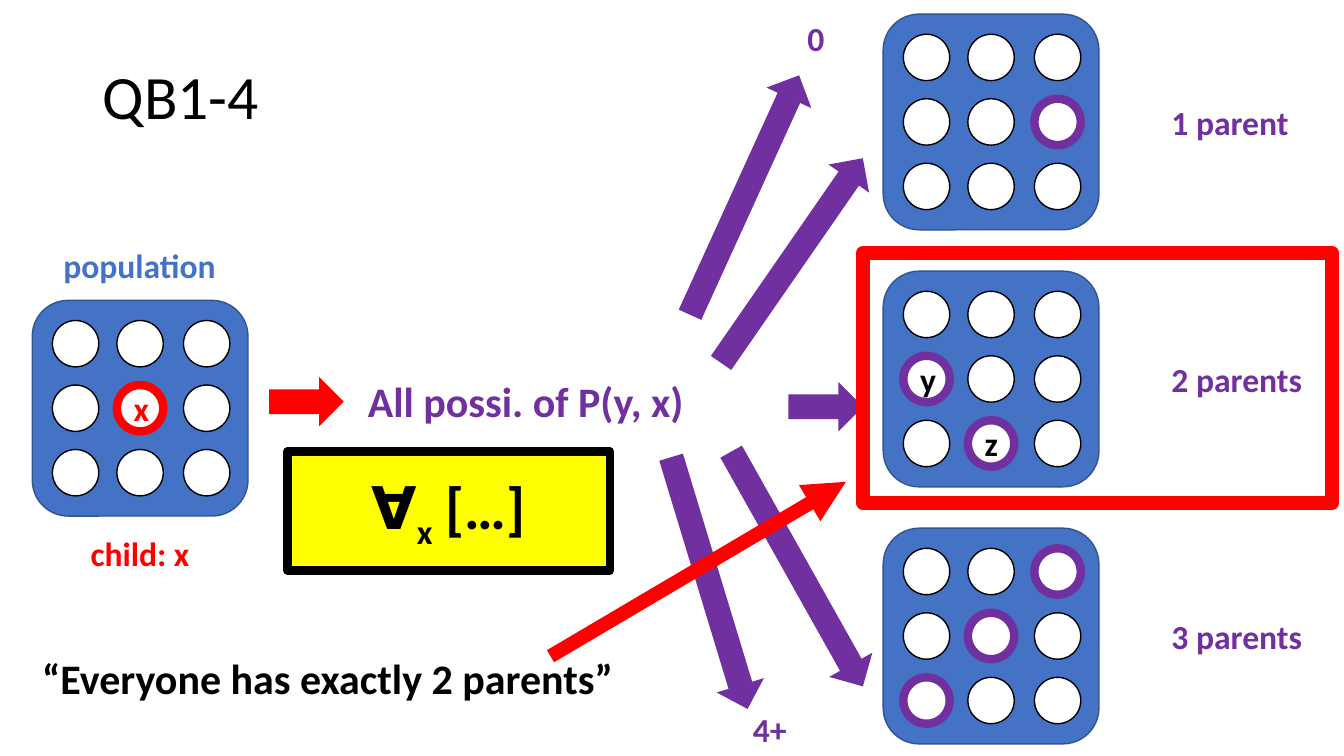
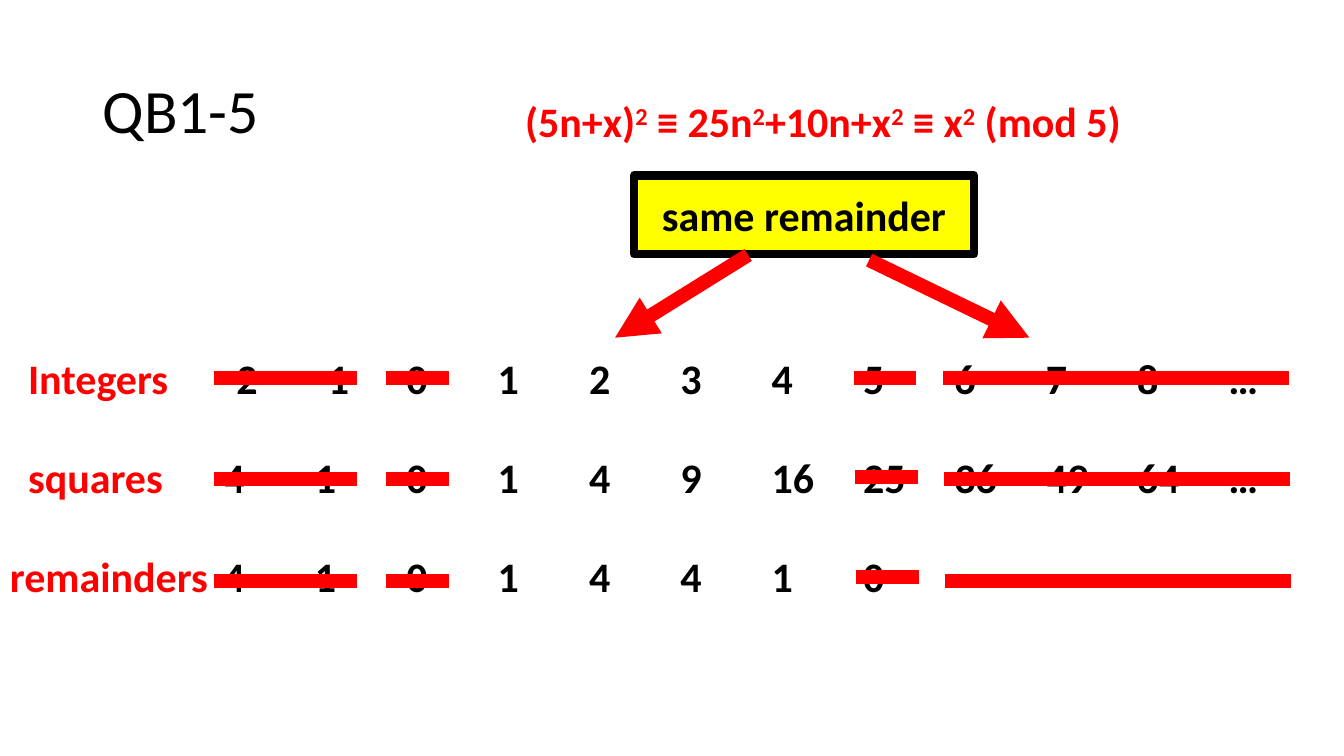
from lxml import etree
from pptx import Presentation
from pptx.dml.color import RGBColor
from pptx.enum.shapes import MSO_CONNECTOR, MSO_SHAPE
from pptx.enum.text import MSO_ANCHOR, PP_ALIGN
from pptx.oxml.ns import qn
from pptx.util import Inches, Pt

RECT, ROUND_RECT = MSO_SHAPE.RECTANGLE, MSO_SHAPE.ROUNDED_RECTANGLE
CIRCLE, ARROW = MSO_SHAPE.OVAL, MSO_SHAPE.RIGHT_ARROW
STRAIGHT = MSO_CONNECTOR.STRAIGHT
LEFT, CENTER = PP_ALIGN.LEFT, PP_ALIGN.CENTER
MIDDLE = MSO_ANCHOR.MIDDLE

FONT = "Calibri"
COLORS = {
    "black": "000000",
    "white": "FFFFFF",
    "red": "FF0000",
    "purple": "7030A0",
    "blue": "4472C4",
    "navy": "325491",
    "yellow": "FFFF00",
}
RGB = {name: RGBColor.from_string(value) for name, value in COLORS.items()}


def write(sp, text, size, color="black", align=LEFT, bold=True):
    """Fill one paragraph; text is a string or a list of (text, baseline %) runs."""
    p = sp.text_frame.paragraphs[0]
    p.alignment = align
    for part, baseline in [(text, 0)] if isinstance(text, str) else text:
        r = p.add_run()
        r.text = part
        r.font.name, r.font.size, r.font.bold = FONT, Pt(size), bold
        r.font.color.rgb = RGB[color]
        if baseline:
            r._r.get_or_add_rPr().set("baseline", str(baseline * 1000))


def add_shape(s, kind, box, fill=None, line=None, width=1):
    sp = s.shapes.add_shape(kind, *map(Inches, box))
    sp.shadow.inherit = False
    if fill:
        sp.fill.solid()
        sp.fill.fore_color.rgb = RGB[fill]
    else:
        sp.fill.background()
    if line:
        sp.line.color.rgb = RGB[line]
        sp.line.width = Pt(width)
    else:
        sp.line.fill.background()
    return sp


prs = Presentation()
prs.slide_width, prs.slide_height = Inches(13.33), Inches(7.5)

slides = []
for title, top in [("QB1-4", 0.26), ("QB1-5", 0.4)]:
    s = prs.slides.add_slide(prs.slide_layouts[5])
    sp = s.shapes.title
    sp.left, sp.top, sp.width, sp.height = map(Inches, (0.92, top, 11.5, 1.45))
    sp.text_frame.vertical_anchor = MIDDLE
    write(sp, title, 44, bold=False)
    sp.text_frame.paragraphs[0].line_spacing = 0.9
    slides.append(s)
parents, remainders = slides

# Boards of nine people; marked people are keyed by (row, column)
BOARD, PERSON = 2.14, 0.46
ROWS, COLUMNS = (0.2, 0.84, 1.48), (0.2, 0.84, 1.5)
BOARD_X, BOARD_Y, BOARD_STEP = 8.76, 0.14, 2.55
boards = [
    (0.32, 2.98, "red", {(1, 1): "x"}),
    (BOARD_X, BOARD_Y, "purple", {(1, 2): ""}),
    (BOARD_X, BOARD_Y + BOARD_STEP, "purple", {(1, 0): "y", (2, 1): "z"}),
    (BOARD_X, BOARD_Y + 2 * BOARD_STEP, "purple", {(0, 2): "", (1, 1): "", (2, 0): ""}),
]
for x, y, mark, marked in boards:
    add_shape(parents, ROUND_RECT, (x, y, BOARD, BOARD), "blue", "navy")
    for row, dy in enumerate(ROWS):
        for column, dx in enumerate(COLUMNS):
            letter = marked.get((row, column))
            outline = ("black", 1) if letter is None else (mark, 6)
            sp = add_shape(parents, CIRCLE, (x + dx, y + dy, PERSON, PERSON), "white", *outline)
            if letter:
                write(sp, letter, 24, "red" if letter == "x" else "black", CENTER)

labels = [
    ("child: x", 0.8, 5.24, 1.19, 24, "red"),
    ("population", 0.53, 2.38, 1.73, 24, "blue"),
    ("All possi. of P(y, x)", 3.55, 3.68, 3.39, 30, "purple"),
    ("0", 7.91, 0.13, 0.37, 24, "purple"),
    ("4+", 7.37, 6.98, 0.54, 24, "purple"),
    ("“Everyone has exactly 2 parents”", 0.32, 6.42, 5.92, 30, "black"),
]
for i, (text, width) in enumerate([("1 parent", 1.37), ("2 parents", 1.51), ("3 parents", 1.51)]):
    labels.append((text, 11.52, 0.96 + i * BOARD_STEP, width, 24, "purple"))
for text, x, y, width, size, color in labels:
    sp = parents.shapes.add_textbox(*map(Inches, (x, y, width, size / 48)))
    sp.text_frame.word_wrap = False
    write(sp, text, size, color)

for x, y, length, rotation, color in [
    (2.67, 3.74, 0.74, 0, "red"),
    (6.62, 2.34, 2.47, 304.7, "purple"),
    (6.57, 5.4, 2.67, 60.7, "purple"),
    (7.82, 3.79, 0.74, 0, "purple"),
    (6.08, 1.69, 2.61, 294.5, "purple"),
    (5.73, 5.54, 2.61, 73.1, "purple"),
]:
    add_shape(parents, ARROW, (x, y, length, 0.49), color).rotation = rotation

add_shape(parents, RECT, (8.56, 2.51, 4.65, 2.48), None, "red", 10)

# Yellow call-outs
for s, box, text, size in [
    (parents, (2.85, 4.48, 3.2, 1.18), [("∀", 0), ("x", -25), (" […]", 0)], 42),
    (remainders, (6.29, 1.74, 3.37, 0.78), "same remainder", 30),
]:
    write(add_shape(s, RECT, box, "yellow", "black", 6), text, size, align=CENTER)

# Number table laid out as text, with one box per value
FIRST_X, STEP_X = 2.12, 0.906
formula = [("(5n+x)", 0), ("2", 30), (" ≡ 25n", 0), ("2", 30), ("+10n+x", 0),
           ("2", 30), (" ≡ x", 0), ("2", 30), (" (mod 5)", 0)]
cells = [(formula, 5.11, 0.9, 6.53, "red"), ("…", 9.37, 5.35, 0.73, "black")]
for name, x, y, values in [
    ("Integers", 0.18, 3.45, "-2 -1 0 1 2 3 4 5 6 7 8 …"),
    ("squares", 0.18, 4.43, "4 1 0 1 4 9 16 25 36 49 64 …"),
    ("remainders", 0, 5.41, "4 1 0 1 4 4 1 0"),
]:
    cells.append((name, x, y, 2.21, "red"))
    for i, value in enumerate(values.split()):
        cells.append((value, FIRST_X + i * STEP_X, y, 0.73, "black"))
for text, x, y, width, color in cells:
    sp = remainders.shapes.add_textbox(*map(Inches, (x, y, width, 0.61)))
    sp.text_frame.word_wrap = True
    write(sp, text, 30, color)

# Red arrows, then the strokes that cross out values
lines = [
    (parents, 5.46, 6.51, 8.39, 4.78, True),
    (remainders, 7.42, 2.53, 6.1, 3.35, True),
    (remainders, 8.62, 2.58, 10.21, 3.35, True),
]
for i, y in enumerate((3.75, 4.75, 5.76)):
    drift = i * 0.01
    for x1, x2, line_y in [
        (2.12, 3.54, y),
        (3.83, 4.45, y),
        (8.47 + drift, 9.09 + drift, 3.75 + i * 0.985),
        (9.35 + drift, 12.78 + drift, y),
    ]:
        lines.append((remainders, x1, line_y, x2, line_y, False))
for s, x1, y1, x2, y2, has_head in lines:
    line = s.shapes.add_connector(STRAIGHT, *map(Inches, (x1, y1, x2, y2)))
    line.line.color.rgb = RGB["red"]
    line.line.width = Pt(10)
    spPr = line._element.spPr
    if has_head:
        etree.SubElement(spPr.find(qn("a:ln")), qn("a:tailEnd"), type="triangle")
    etree.SubElement(spPr, qn("a:effectLst"))

prs.save("out.pptx")
